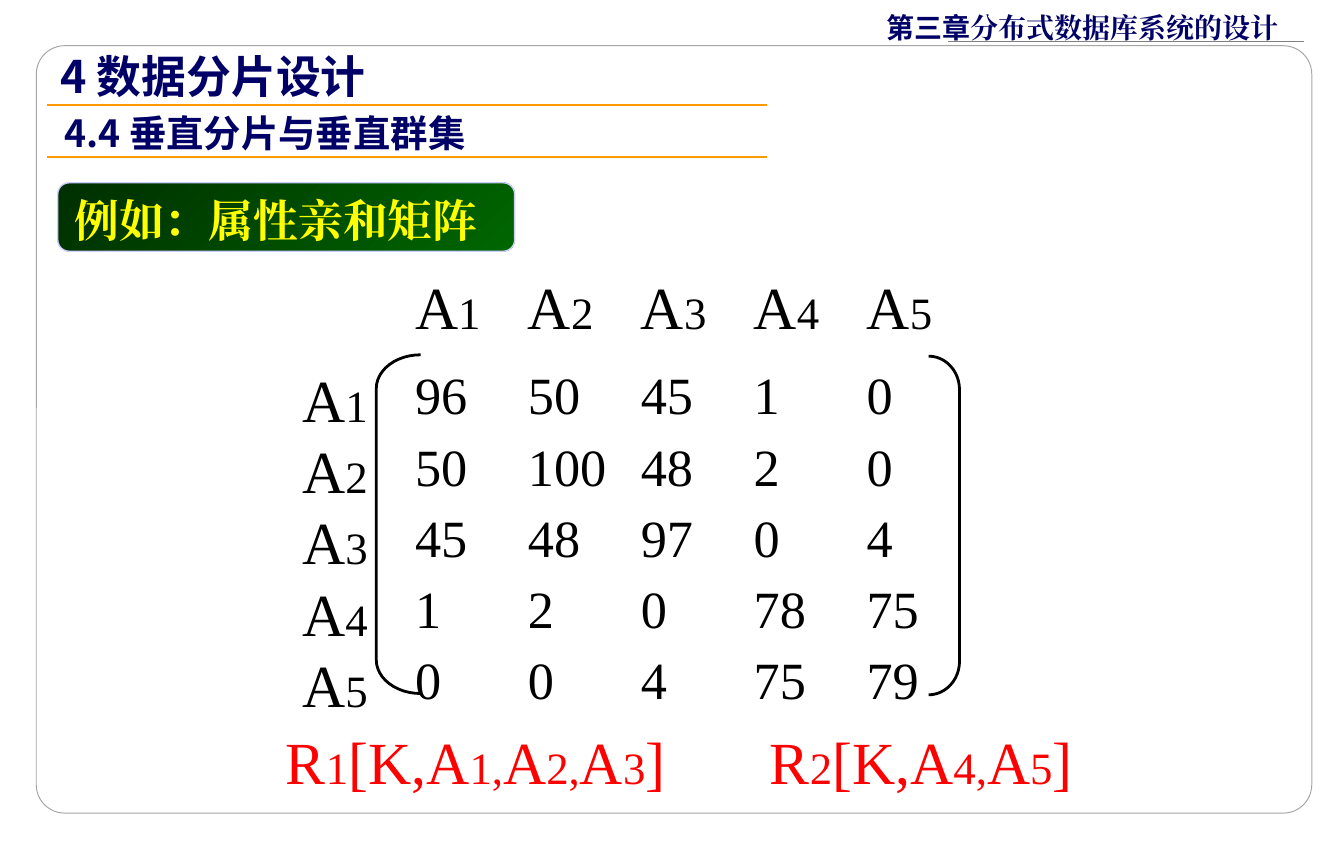
from lxml.etree import SubElement
from pptx import Presentation
from pptx.dml.color import RGBColor
from pptx.enum.shapes import MSO_CONNECTOR, MSO_SHAPE
from pptx.enum.text import MSO_ANCHOR, PP_ALIGN
from pptx.oxml.ns import qn
from pptx.util import Inches, Pt

SERIF, SANS = "Times New Roman", "Noto Sans CJK SC"
NAVY, ORANGE, RED, BLACK = "000066", "FF9900", "FF0000", "000000"
BIG, SMALL = 32, 24
MATRIX = [
    [96, 50, 45, 1, 0],
    [50, 100, 48, 2, 0],
    [45, 48, 97, 0, 4],
    [1, 2, 0, 78, 75],
    [0, 0, 4, 75, 79],
]


def rgb(value):
    return RGBColor.from_string(value)


def write(tf, *runs, size=28, font=SERIF, color=BLACK, bold=False, wrap=True):
    tf.word_wrap = wrap
    tf.vertical_anchor = MSO_ANCHOR.TOP
    p = tf.paragraphs[0]
    p.alignment = PP_ALIGN.LEFT
    for text, own in runs:
        r = p.add_run()
        r.text = text
        r.font.size = Pt(own.get("size", size))
        r.font.bold = bold
        r.font.color.rgb = rgb(color)
        r.font.name = own.get("font", font)
        SubElement(r.font._element, qn("a:ea"), typeface=r.font.name)


def indexed(*pairs):
    """Alternate full-size letters with smaller index text."""
    return [(text, {"size": size}) for pair in pairs
            for text, size in zip(pair, (BIG, SMALL))]


class Deck:
    def __init__(self, prs):
        self.s = prs.slides.add_slide(prs.slide_layouts[6])

    def text(self, x, y, w, h, *runs, **style):
        sp = self.s.shapes.add_textbox(*map(Inches, (x, y, w, h)))
        write(sp.text_frame, *runs, **style)

    def shape(self, kind, x, y, w, h, adj, line, width, fill=None):
        sp = self.s.shapes.add_shape(kind, *map(Inches, (x, y, w, h)))
        sp.shadow.inherit = False
        sp.adjustments[0] = adj
        sp.line.color.rgb = rgb(line)
        sp.line.width = Pt(width)
        if fill is None:
            sp.fill.background()
        elif isinstance(fill, str):
            sp.fill.solid()
            sp.fill.fore_color.rgb = rgb(fill)
        else:
            sp.fill.gradient()
            sp.fill.gradient_angle = 315
            for stop, color in zip(sp.fill.gradient_stops, fill):
                stop.color.rgb = rgb(color)
        return sp

    def rule(self, x1, x2, y, color, width):
        c = self.s.shapes.add_connector(
            MSO_CONNECTOR.STRAIGHT, *map(Inches, (x1, y, x2, y)))
        c.line.color.rgb = rgb(color)
        c.line.width = Pt(width)
        SubElement(c._element.spPr, qn("a:effectLst"))

    def matrix(self, values, x, y, col_w, row_h, head_h):
        for i, row in enumerate(values):
            label = indexed(("A", str(i + 1)))
            top = y + head_h + i * row_h
            self.text(x + (i + 1) * col_w, y, col_w, head_h, *label)
            self.text(x, top, col_w, row_h, *label)
            for j, value in enumerate(row, 1):
                self.text(x + j * col_w, top, col_w, row_h, (str(value), {}))


def main():
    prs = Presentation()
    prs.slide_width, prs.slide_height = Inches(10), Inches(6.28)
    deck = Deck(prs)

    deck.shape(MSO_SHAPE.ROUNDED_RECTANGLE, 0.27, 0.34, 9.49, 5.71, 0.037,
               "A5A5A5", 0.5, "FFFFFF")
    deck.text(6.5, 0.03, 3.15, 0.34, ("第三章", {"font": SANS}),
              ("分布式数据库系统的设计", {}), size=15, color=NAVY, bold=True)
    deck.rule(9.7, 7.05, 0.31, "7F7F7F", 0.75)

    deck.matrix(MATRIX, 2.15, 1.96, 0.84, 0.53, 0.69)
    deck.shape(MSO_SHAPE.LEFT_BRACKET, 2.8, 2.64, 0.33, 2.52, 0.76, BLACK, 1.5)
    deck.shape(MSO_SHAPE.RIGHT_BRACKET, 6.91, 2.65, 0.23, 2.52, 1.09, BLACK, 1.5)
    deck.text(2.03, 5.34, 3.1, 0.58,
              *indexed(("R", "1"), ("[K,A", "1,"), ("A", "2,"), ("A", "3"), ("]",)),
              color=RED, wrap=False)
    deck.text(5.63, 5.34, 2.45, 0.58,
              *indexed(("R", "2"), ("[K,A", "4,"), ("A", "5"), ("]",)),
              color=RED, wrap=False)

    badge = deck.shape(MSO_SHAPE.ROUNDED_RECTANGLE, 0.43, 1.36, 3.4, 0.51, 0.167,
                       "CCCCFF", 0.75, ("002F00", "006600"))
    write(badge.text_frame, ("例如：属性亲和矩阵", {}), size=24, color="FFFF00", bold=True)

    deck.text(0.38, 0.77, 5.8, 0.44, ("4.4 垂直分片与垂直群集", {}),
              size=20, font=SANS, color=NAVY, bold=True)
    deck.text(0.35, 0.31, 5, 0.5, ("4 数据分片设计", {}),
              size=24, font=SANS, color=NAVY, bold=True)
    for y in (0.78, 1.17):
        deck.rule(0.35, 5.71, y, ORANGE, 1)

    prs.save("out.pptx")


if __name__ == "__main__":
    main()
